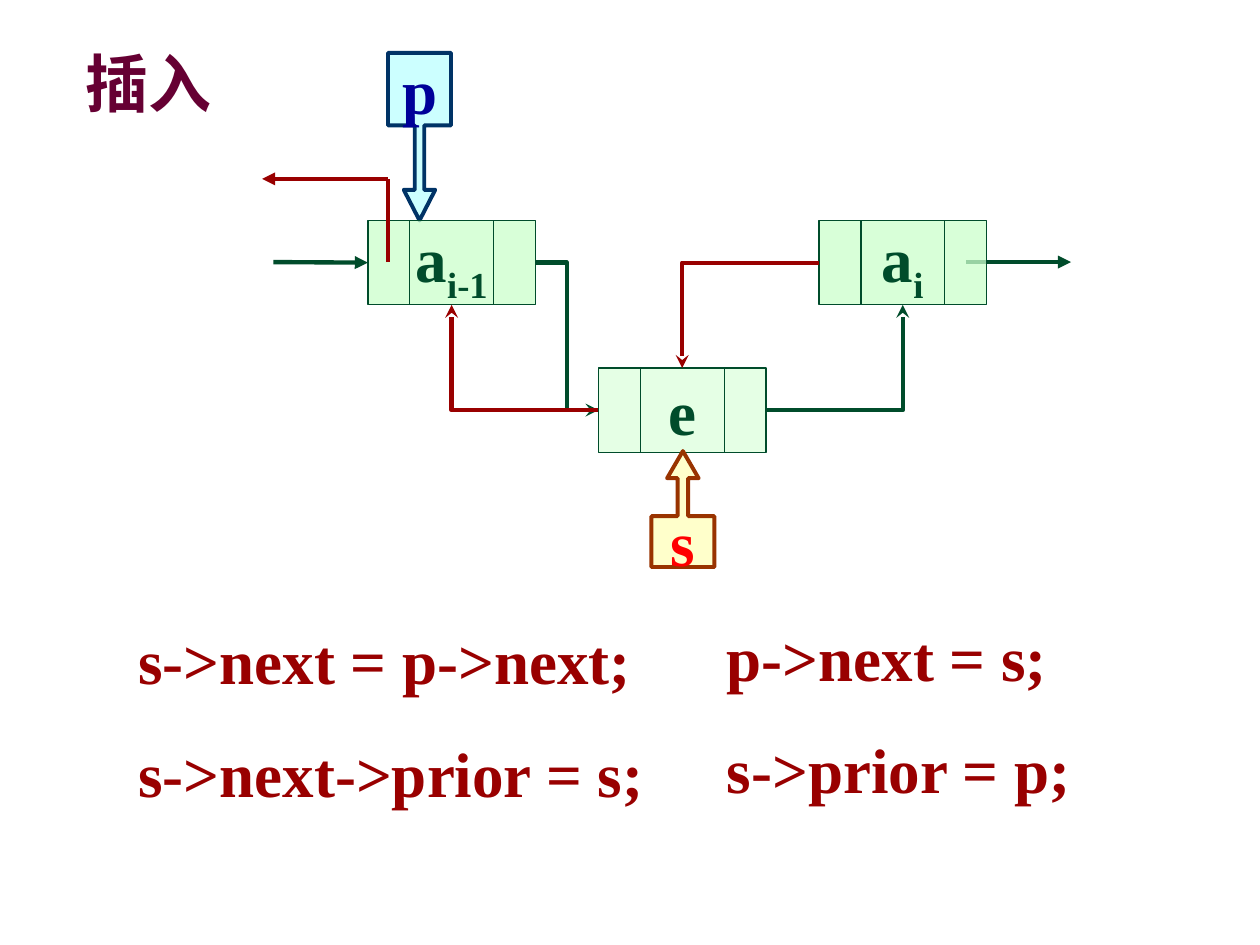
from pptx import Presentation
from pptx.dml.color import RGBColor
from pptx.enum.shapes import MSO_CONNECTOR, MSO_SHAPE
from pptx.enum.text import MSO_ANCHOR, MSO_AUTO_SIZE, PP_ALIGN
from pptx.oxml.ns import qn
from pptx.util import Inches, Pt
from lxml import etree

RECT = MSO_SHAPE.RECTANGLE
DOWN = MSO_SHAPE.DOWN_ARROW_CALLOUT
UP = MSO_SHAPE.UP_ARROW_CALLOUT
STRAIGHT, ELBOW = MSO_CONNECTOR.STRAIGHT, MSO_CONNECTOR.ELBOW
LEFT, CENTER = PP_ALIGN.LEFT, PP_ALIGN.CENTER
TOP, MIDDLE = MSO_ANCHOR.TOP, MSO_ANCHOR.MIDDLE
FIT = MSO_AUTO_SIZE.SHAPE_TO_FIT_TEXT
NORTH, WEST, SOUTH, EAST = range(4)

GREEN = RGBColor(0x00, 0x4C, 0x2B)
MINT = RGBColor(0xCC, 0xFF, 0xCC)
MAROON = RGBColor(0x99, 0x00, 0x00)
PLUM = RGBColor(0x66, 0x00, 0x33)
AQUA = RGBColor(0xCC, 0xFF, 0xFF)
NAVY = RGBColor(0x00, 0x33, 0x66)
BLUE = RGBColor(0x00, 0x00, 0x99)
CREAM = RGBColor(0xFF, 0xFF, 0x99)
RUST = RGBColor(0x99, 0x33, 0x00)
RED = RGBColor(0xFF, 0x00, 0x00)

NODE_W, NODE_H = 1.33, 0.67
CELLS = (0.25, 0.75)
THIN, THICK = 0.75, 2.5


class Board:
    def __init__(self, slide, font="Times New Roman", size=36):
        self.slide, self.font, self.size = slide, font, size

    def run(self, para, text, color, base=None):
        run = para.add_run()
        run.text = text
        font = run.font
        font.name, font.size, font.bold = self.font, Pt(self.size), True
        font.color.rgb = color
        if base:
            font._element.set("baseline", str(base * 1000))

    def title(self, text, x, y, w, h):
        shape = self.slide.shapes.title
        shape.left, shape.top, shape.width, shape.height = map(Inches, (x, y, w, h))
        frame = shape.text_frame
        frame.word_wrap, frame.auto_size = False, FIT
        frame.vertical_anchor = TOP
        para = frame.paragraphs[0]
        para.alignment = LEFT
        self.run(para, text, PLUM)

    def code(self, lines, x, y, w, h, wrap=False):
        box = self.slide.shapes.add_textbox(*map(Inches, (x, y, w, h)))
        frame = box.text_frame
        frame.word_wrap, frame.auto_size = wrap, FIT
        for i, line in enumerate(lines):
            para = frame.add_paragraph() if i else frame.paragraphs[0]
            para.line_spacing = 1.5
            self.run(para, line, MAROON)

    def shape(self, kind, box, fill, edge, width, color, text, sub="", alpha=None):
        """Draw a filled shape with a centred label and an optional subscript."""
        shape = self.slide.shapes.add_shape(kind, *map(Inches, box))
        shape.shadow.inherit = False
        shape.fill.solid()
        shape.fill.fore_color.rgb = fill
        if alpha:
            tint = shape._element.spPr.find(qn("a:solidFill"))[0]
            etree.SubElement(tint, qn("a:alpha")).set("val", str(alpha * 1000))
        shape.line.color.rgb = edge
        shape.line.width = Pt(width)
        frame = shape.text_frame
        frame.word_wrap, frame.vertical_anchor = False, MIDDLE
        para = frame.paragraphs[0]
        para.alignment = CENTER
        self.run(para, text, color)
        if sub:
            self.run(para, sub, color, -25)
        return shape

    def node(self, x, y, text, sub="", alpha=75):
        """Draw a list node: prior, data and next cells."""
        node = self.shape(RECT, (x, y, NODE_W, NODE_H), MINT, GREEN, THIN,
                          GREEN, text, sub, alpha)
        for part in CELLS:
            cut = x + NODE_W * part
            self.line((cut, y), (cut, y + NODE_H), GREEN, THIN)
        return node

    def callout(self, kind, box, adj, fill, edge, color, text, alpha=None):
        shape = self.shape(kind, box, fill, edge, 2.25, color, text, alpha=alpha)
        for i, value in enumerate(adj):
            shape.adjustments[i] = value

    def line(self, start, end, color, width=THICK, head=None, kind=STRAIGHT):
        line = self.slide.shapes.add_connector(kind, *map(Inches, start + end))
        line.line.color.rgb = color
        line.line.width = Pt(width)
        if head:
            tail = etree.SubElement(line.line._get_or_add_ln(), qn("a:tailEnd"))
            tail.set("type", head)
        etree.SubElement(line._element.spPr, qn("a:effectLst"))
        return line

    def link(self, first, out, last, into, color):
        """Join two nodes with an elbow: one bend into a top or bottom, else two."""
        line = self.line((0, 0), (0, 0), color, head="stealth", kind=ELBOW)
        line.begin_connect(first, out)
        line.end_connect(last, into)
        if into in (NORTH, SOUTH):
            geom = line._element.spPr.find(qn("a:prstGeom"))
            geom.set("prst", "bentConnector2")


def main():
    deck = Presentation()
    deck.slide_width, deck.slide_height = Inches(10), Inches(7.5)
    board = Board(deck.slides.add_slide(deck.slide_layouts[5]))
    board.title("插入", 0.58, 0.3, 1.21, 0.7)

    board.line((7.67, 2.08), (8.5, 2.08), GREEN, head="triangle")
    new = board.node(4.75, 2.92, "e", alpha=50)
    board.callout(DOWN, (3.08, 0.42, 0.5, 1.33), (0.15, 0.25, 0.486, 0.433),
                  AQUA, NAVY, BLUE, "p")
    board.callout(UP, (5.17, 3.58, 0.5, 0.92), (0.167, 0.25, 0.431, 0.439),
                  CREAM, RUST, RED, "s", alpha=50)
    prev = board.node(2.92, 1.75, "a", "i-1")
    succ = board.node(6.5, 1.75, "a", "i")

    entry = board.line((2.17, 2.08), (2.92, 2.08), GREEN, head="triangle")
    entry.end_connect(prev, WEST)
    board.link(new, EAST, succ, SOUTH, GREEN)
    board.link(prev, EAST, new, WEST, GREEN)
    board.link(succ, WEST, new, NORTH, MAROON)
    board.link(new, WEST, prev, SOUTH, MAROON)
    board.line((3.08, 2.08), (3.08, 1.42), MAROON)
    board.line((3.08, 1.42), (2.08, 1.42), MAROON, head="triangle")

    board.code(["s->next = p->next;", "s->next->prior = s;"],
               1, 4.58, 4.45, 1.9, wrap=True)
    board.code(["p->next = s;"], 5.67, 4.56, 2.74, 1)
    board.code(["s->prior = p;"], 5.67, 5.45, 2.94, 1)
    deck.save("out.pptx")


if __name__ == "__main__":
    main()
